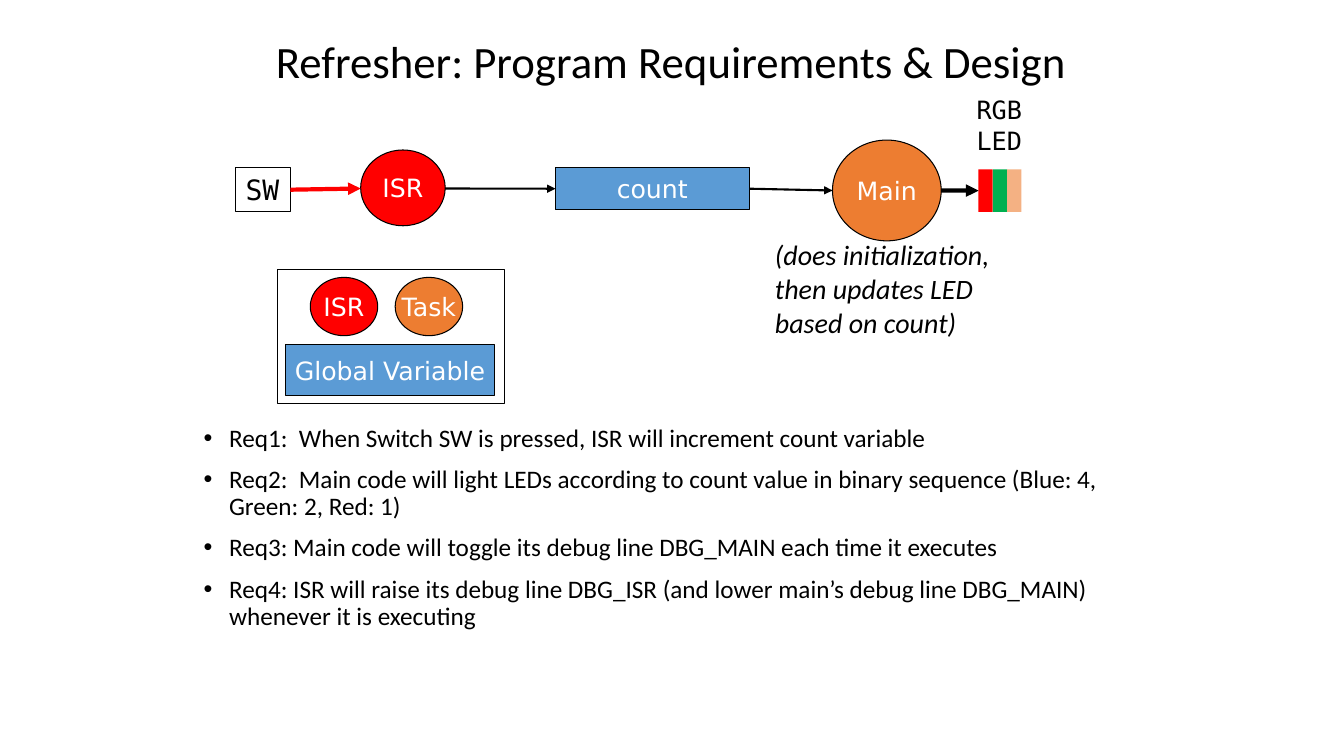
from dataclasses import dataclass
from lxml.etree import SubElement
from pptx import Presentation
from pptx.dml.color import RGBColor
from pptx.enum.shapes import MSO_CONNECTOR, MSO_SHAPE
from pptx.enum.text import MSO_ANCHOR, MSO_AUTO_SIZE, PP_ALIGN
from pptx.oxml.ns import qn
from pptx.util import Cm, Pt


@dataclass(frozen=True)
class Theme:
    black: RGBColor = RGBColor(0, 0, 0)
    white: RGBColor = RGBColor(255, 255, 255)
    red: RGBColor = RGBColor(255, 0, 0)
    green: RGBColor = RGBColor(0, 176, 80)
    peach: RGBColor = RGBColor(244, 177, 131)
    orange: RGBColor = RGBColor(237, 125, 49)
    blue: RGBColor = RGBColor(91, 155, 213)
    head: Pt = Pt(32)
    note: Pt = Pt(20)
    base: Pt = Pt(18)
    body: str = "Calibri"
    sans: str = "DejaVu Sans"
    mono: str = "DejaVu Sans Mono"


theme = Theme()


def write(frame, text, size=theme.base, font=theme.body, color=theme.black,
          align=PP_ALIGN.LEFT, anchor=MSO_ANCHOR.TOP, wrap=False,
          fit=MSO_AUTO_SIZE.NONE, italic=False, space=None, before=None):
    frame.word_wrap = wrap
    frame.auto_size = fit
    frame.vertical_anchor = anchor
    for i, line in enumerate(text):
        para = frame.add_paragraph() if i else frame.paragraphs[0]
        para.text = line
        para.alignment = align
        para.line_spacing = space
        para.space_before = before
        for run in para.runs:
            run.font.size = size
            run.font.name = font
            run.font.color.rgb = color
            run.font.italic = italic


def block(group, kind, box, fill=None, edge=True):
    shape = group.shapes.add_shape(kind, *map(Cm, box))
    shape.shadow.inherit = False
    if fill is None:
        shape.fill.background()
    else:
        shape.fill.solid()
        shape.fill.fore_color.rgb = fill
    if edge:
        shape.line.color.rgb = theme.black
        shape.line.width = Pt(0.75)
    else:
        shape.line.fill.background()
    return shape


deck = Presentation()
deck.slide_width = Cm(33.87)
deck.slide_height = Cm(19.05)
slide = deck.slides.add_slide(deck.slide_layouts[1])

title = slide.shapes.title
body = slide.placeholders[1]
for holder, box in ((title, (2.31, 0.58, 29.21, 2.08)),
                    (body, (4.88, 10.59, 24.13, 9.32))):
    holder.left, holder.top, holder.width, holder.height = map(Cm, box)

write(title.text_frame, ["Refresher: Program Requirements & Design"],
      size=theme.head, align=PP_ALIGN.CENTER, anchor=MSO_ANCHOR.MIDDLE,
      wrap=True, space=0.9)
write(body.text_frame, [
    "Req1:  When Switch SW is pressed, ISR will increment count variable",
    "Req2:  Main code will light LEDs according to count value in binary "
    "sequence (Blue: 4, Green: 2, Red: 1)",
    "Req3: Main code will toggle its debug line DBG_MAIN each time it executes",
    "Req4: ISR will raise its debug line DBG_ISR (and lower main’s debug line "
    "DBG_MAIN) whenever it is executing",
], wrap=True, space=0.9, before=Pt(10))
for para in body.text_frame.paragraphs:
    props = para._p.get_or_add_pPr()
    props.set("marL", str(Cm(0.64)))
    props.set("indent", str(-Cm(0.64)))
    SubElement(props, qn("a:buChar")).set("char", "•")

flow = slide.shapes.add_group_shape()
legend = slide.shapes.add_group_shape()
oval, rect = MSO_SHAPE.OVAL, MSO_SHAPE.RECTANGLE

nodes = {}
for group, name, kind, box, fill in (
    (flow, "ISR", oval, (9.09, 3.78, 2.13, 1.91), theme.red),
    (flow, "count", rect, (14, 4.22, 4.88, 1.07), theme.blue),
    (flow, "Main", oval, (20.98, 3.53, 2.74, 2.54), theme.orange),
    (legend, "Global Variable", rect, (7.19, 8.69, 5.28, 1.27), theme.blue),
    (legend, "ISR", oval, (7.82, 6.99, 1.7, 1.47), theme.red),
    (legend, "Task", oval, (9.96, 6.99, 1.7, 1.47), theme.orange),
):
    node = block(group, kind, box, fill)
    write(node.text_frame, [name], font=theme.sans, color=theme.white,
          align=PP_ALIGN.CENTER, anchor=MSO_ANCHOR.MIDDLE)
    nodes[name] = node
block(legend, rect, (6.99, 6.78, 5.72, 3.39))

switch = block(flow, rect, (5.94, 4.22, 1.38, 1.12))
write(switch.text_frame, ["SW"], size=theme.note, font=theme.mono,
      fit=MSO_AUTO_SIZE.SHAPE_TO_FIT_TEXT)

lights = [block(flow, rect, (24.66 + 0.36 * i, 4.27, 0.36, 1.07), fill, False)
          for i, fill in enumerate((theme.red, theme.green, theme.peach))]

for box, text, look in (
    ((19.28, 5.87, 5.97, 2.82),
     ["(does initialization,", "then updates LED \nbased on count)"],
     dict(size=theme.note, italic=True)),
    ((24.36, 2.26, 1.68, 1.8), ["RGB\nLED"], dict(font=theme.mono)),
):
    label = flow.shapes.add_textbox(*map(Cm, box))
    write(label.text_frame, text, fit=MSO_AUTO_SIZE.SHAPE_TO_FIT_TEXT, **look)

count = nodes["count"]
for ends, start, stop, color, width in (
    ((7.32, 4.78, 9.09, 4.75), switch, None, theme.red, 3),
    ((11.22, 4.75, 14, 4.75), None, count, theme.black, 1.5),
    ((18.88, 4.75, 20.98, 4.8), count, None, theme.black, 1.5),
    ((23.72, 4.8, 24.66, 4.8), None, lights[0], theme.black, 3),
):
    arrow = flow.shapes.add_connector(MSO_CONNECTOR.STRAIGHT, *map(Cm, ends))
    if start is not None:
        arrow.begin_connect(start, 3)
    if stop is not None:
        arrow.end_connect(stop, 1)
    arrow.line.color.rgb = color
    arrow.line.width = Pt(width)
    props = arrow._element.spPr
    SubElement(props.find(qn("a:ln")), qn("a:tailEnd")).set("type", "triangle")
    SubElement(props, qn("a:effectLst"))

deck.save("out.pptx")
